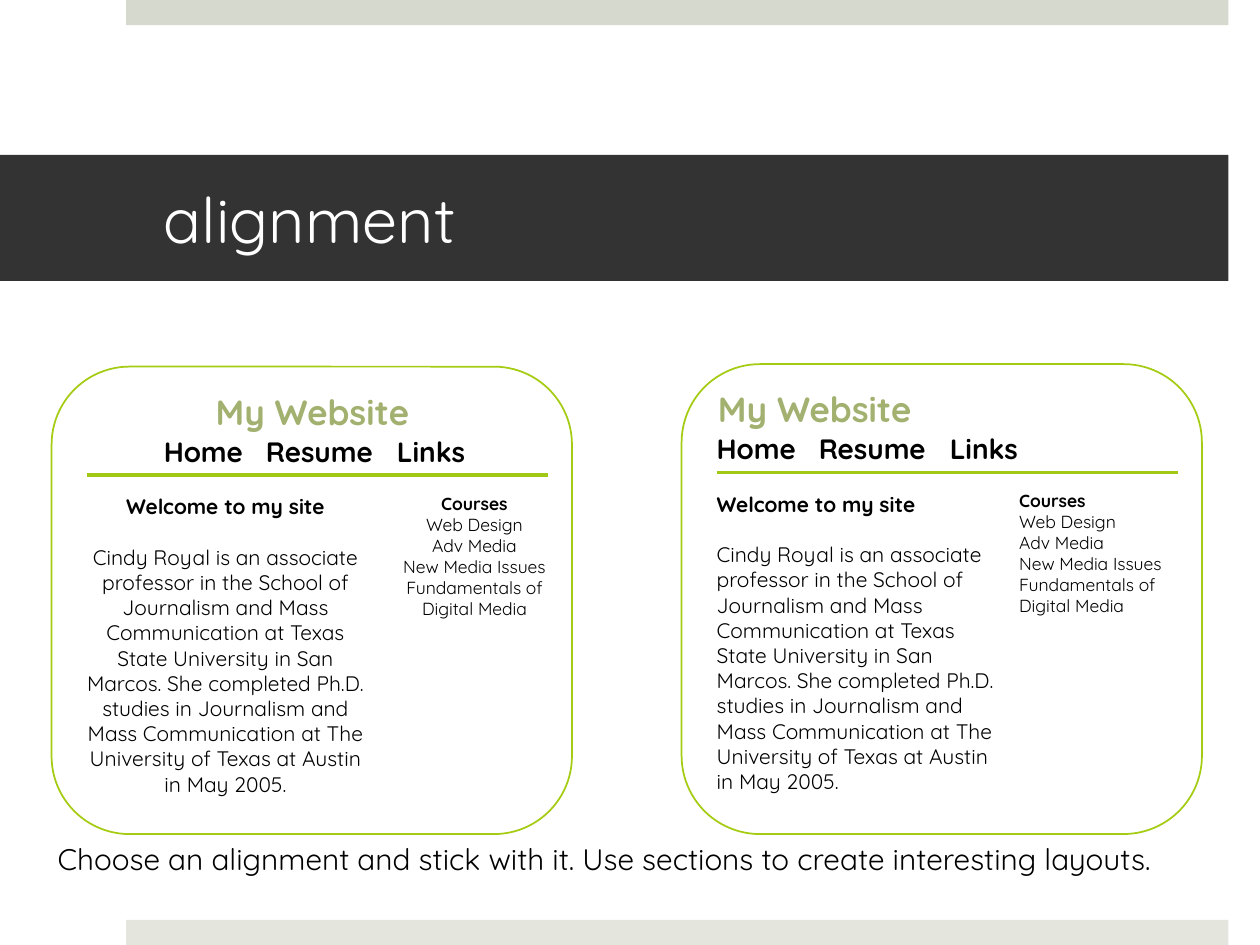
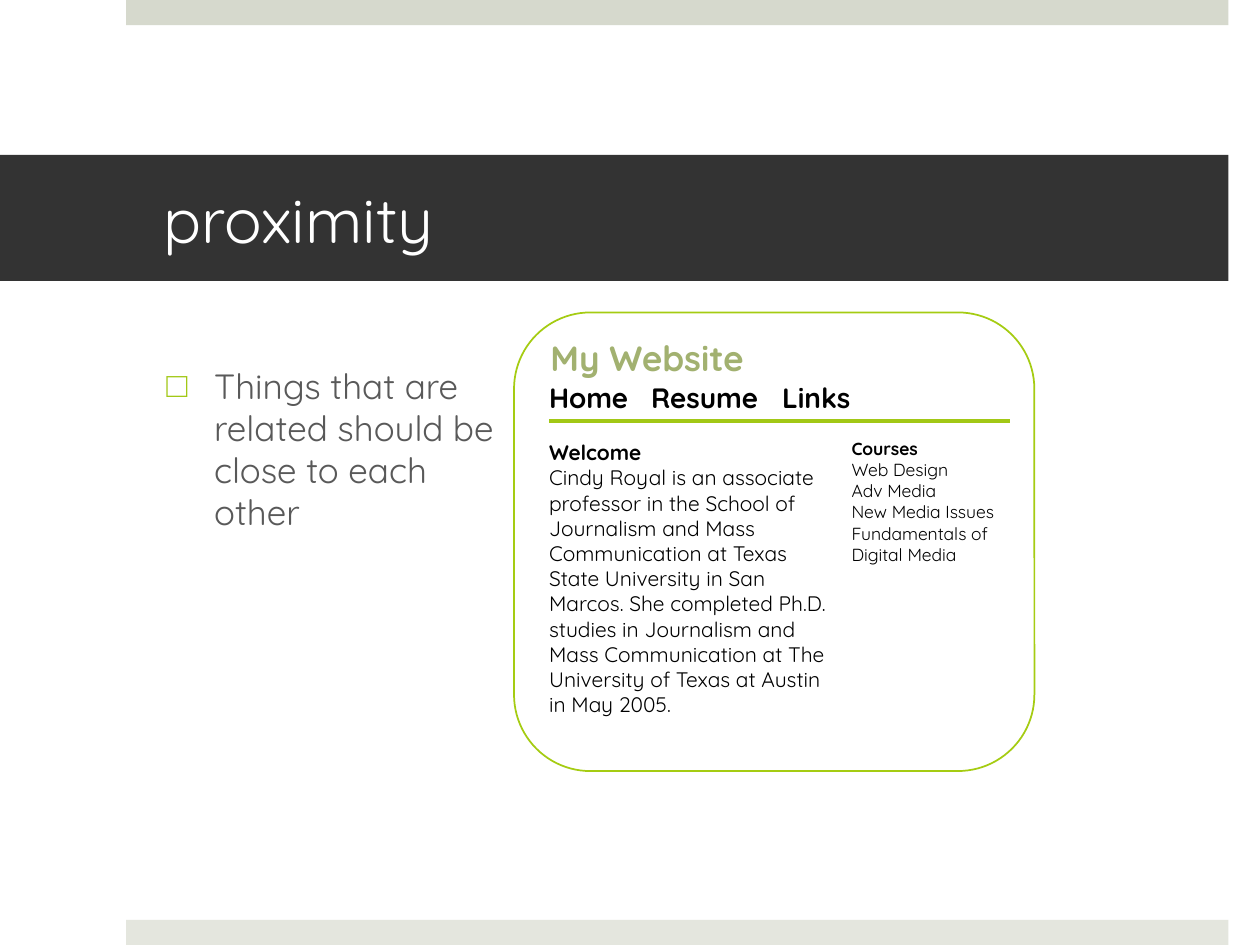
from dataclasses import dataclass

from lxml import etree
from pptx import Presentation
from pptx.dml.color import RGBColor
from pptx.enum.shapes import MSO_CONNECTOR, MSO_SHAPE
from pptx.enum.text import MSO_ANCHOR, MSO_AUTO_SIZE as AUTO, PP_ALIGN as ALIGN
from pptx.oxml.ns import qn
from pptx.util import Pt

PX = 9144  # one px is a hundredth of an inch
FONT = "Quicksand"
COLORS = {
    "top_band": "D6D9CD", "bottom_band": "E4E6DE", "title_bar": "333333",
    "title": "FFFFFF", "body": "595959", "text": "000000",
    "site_name": "A2B170", "frame": "A5CC12", "accent": "A2C816",
}
NAV = ["Home", "Resume", "Links"]
NAV_TABS = [81, 185]
COURSES = ["Web Design", "Adv Media", "New Media Issues", "Fundamentals of Digital Media"]
BIO = ("Cindy Royal is an associate professor in the School of Journalism and Mass "
       "Communication at Texas State University in San Marcos. She completed Ph.D. "
       "studies in Journalism and Mass Communication at The University of Texas at "
       "Austin in May 2005.")


@dataclass(frozen=True)
class Box:
    x: int
    y: int
    w: int
    h: int

    def emu(self) -> tuple[int, ...]:
        return tuple(v * PX for v in (self.x, self.y, self.w, self.h))

    def inner(self, dx: int, dy: int, w: int, h: int) -> "Box":
        return Box(self.x + dx, self.y + dy, w, h)


@dataclass(frozen=True)
class Para:
    text: str
    size: int
    color: str = "text"
    bold: bool = False
    after: float = 0


@dataclass(frozen=True)
class Site:
    """A mock web page: its frame, its welcome line and how it is aligned."""
    frame: Box
    welcome: str
    welcome_gap: float = 0
    bio_height: int = 252
    centered: bool = False


TOP_BAND = Box(100, 0, 875, 20)
BOTTOM_BAND = Box(100, 730, 875, 20)
TITLE_BAR = Box(0, 123, 975, 100)
BODY = Box(122, 284, 283, 401)
CAPTION = Box(36, 662, 941, 39)
CENTERED_SITE = Site(Box(41, 291, 413, 371), "Welcome to my site", 14.4, centered=True)
LEFT_SITE = Site(Box(541, 289, 413, 373), "Welcome to my site", 14.4)
CLOSE_SITE = Site(Box(408, 248, 413, 364), "Welcome", bio_height=232)


def rgb(name: str) -> RGBColor:
    return RGBColor.from_string(COLORS[name])


def place(s, box: Box) -> None:
    s.left, s.top, s.width, s.height = box.emu()


def fill(s, color: str) -> None:
    s.fill.solid()
    s.fill.fore_color.rgb = rgb(color)


def write(tf, paras: list[Para], align=ALIGN.LEFT) -> None:
    for i, para in enumerate(paras):
        p = tf.add_paragraph() if i else tf.paragraphs[0]
        p.alignment = align
        if para.after:
            p.space_after = Pt(para.after)
        r = p.add_run()
        r.text = para.text
        for key, value in {"name": FONT, "size": Pt(para.size), "bold": para.bold}.items():
            setattr(r.font, key, value)
        r.font.color.rgb = rgb(para.color)


def add_text(slide, box: Box, paras: list[Para], align=ALIGN.LEFT, wrap: bool = True):
    tf = slide.shapes.add_textbox(*box.emu()).text_frame
    tf.word_wrap = wrap
    tf.auto_size = AUTO.SHAPE_TO_FIT_TEXT
    write(tf, paras, align)
    return tf


def add_tabs(p, stops: list[int]) -> None:
    tabs = etree.SubElement(p._p.get_or_add_pPr(), qn("a:tabLst"))
    for stop in stops:
        etree.SubElement(tabs, qn("a:tab"), pos=str(stop * PX), algn="l")


def add_rule(slide, x: int, y: int, w: int) -> None:
    s = slide.shapes.add_connector(
        MSO_CONNECTOR.STRAIGHT, x * PX, y * PX, (x + w) * PX, y * PX)
    s.line.color.rgb = rgb("accent")
    s.line.width = Pt(2)
    etree.SubElement(s.element.spPr, qn("a:effectLst"))


def add_site(slide, site: Site) -> None:
    frame = site.frame
    align = ALIGN.CENTER if site.centered else ALIGN.LEFT
    # Frame
    s = slide.shapes.add_shape(MSO_SHAPE.ROUNDED_RECTANGLE, *frame.emu())
    s.shadow.inherit = False
    s.fill.background()
    s.line.color.rgb = rgb("frame")
    s.line.width = Pt(1)
    # Site name and navigation
    add_text(slide, frame.inner(19, 14, 376 if site.centered else 304, 44),
             [Para("My Website", 20, "site_name", True)], align)
    tf = add_text(slide, frame.inner(18, 49, 379 if site.centered else 346, 37),
                  [Para("\t".join(NAV), 16, bold=True)])
    add_tabs(tf.paragraphs[0], NAV_TABS)
    if site.centered:
        tf.margin_left = 71 * PX
    add_rule(slide, frame.x + 28, frame.y + 86, 366)
    # Welcome text and course list
    add_text(slide, frame.inner(18, 96, 240, site.bio_height),
             [Para(site.welcome, 12, bold=True, after=site.welcome_gap), Para(BIO, 12)], align)
    add_text(slide, frame.inner(258, 95, 155, 131),
             [Para("Courses", 10, bold=True), *(Para(c, 10) for c in COURSES)], align)


def add_master_bands(prs, slide) -> None:
    tree = prs.slide_master.element.cSld.spTree
    bands = ((TOP_BAND, "top_band"), (BOTTOM_BAND, "bottom_band"))
    for number, (box, color) in enumerate(bands, 101):
        s = slide.shapes.add_shape(MSO_SHAPE.RECTANGLE, *box.emu())
        s.shadow.inherit = False
        fill(s, color)
        s.line.fill.background()
        s.element.nvSpPr.cNvPr.set("id", str(number))
        tree.append(s.element)


def add_slide(prs, layout: int, title: str):
    slide = prs.slides.add_slide(prs.slide_layouts[layout])
    s = slide.shapes.title
    place(s, TITLE_BAR)
    fill(s, "title_bar")
    tf = s.text_frame
    margins = {"margin_left": 130, "margin_top": 5, "margin_right": 30, "margin_bottom": 5}
    for key, value in margins.items():
        setattr(tf, key, value * PX)
    tf.vertical_anchor = MSO_ANCHOR.MIDDLE
    tf.auto_size = AUTO.NONE
    write(tf, [Para(title, 36, "title")])
    return slide


def add_body(slide, text: str) -> None:
    s = slide.placeholders[1]
    place(s, BODY)
    tf = s.text_frame
    tf.auto_size = AUTO.NONE
    write(tf, [Para(text, 20, "body")])
    p = tf.paragraphs[0]
    p.space_before = Pt(20)
    # Square bullet with a hanging indent
    pPr = p._p.get_or_add_pPr()
    pPr.set("marL", str(38 * PX))
    pPr.set("indent", str(-38 * PX))
    color = etree.SubElement(pPr, qn("a:buClr"))
    etree.SubElement(color, qn("a:srgbClr"), val=COLORS["accent"])
    etree.SubElement(pPr, qn("a:buChar"), char="□")


def main() -> None:
    prs = Presentation()
    prs.slide_width, prs.slide_height = 1000 * PX, 750 * PX

    # Alignment
    slide = add_slide(prs, 5, "alignment")
    add_master_bands(prs, slide)
    for site in (CENTERED_SITE, LEFT_SITE):
        add_site(slide, site)
    add_text(slide, CAPTION, [Para("Choose an alignment and stick with it. Use sections to "
                                   "create interesting layouts.", 17)], wrap=False)

    # Proximity
    slide = add_slide(prs, 1, "proximity")
    add_body(slide, "Things that are related should be close to each other")
    add_site(slide, CLOSE_SITE)

    prs.save("out.pptx")


if __name__ == "__main__":
    main()
